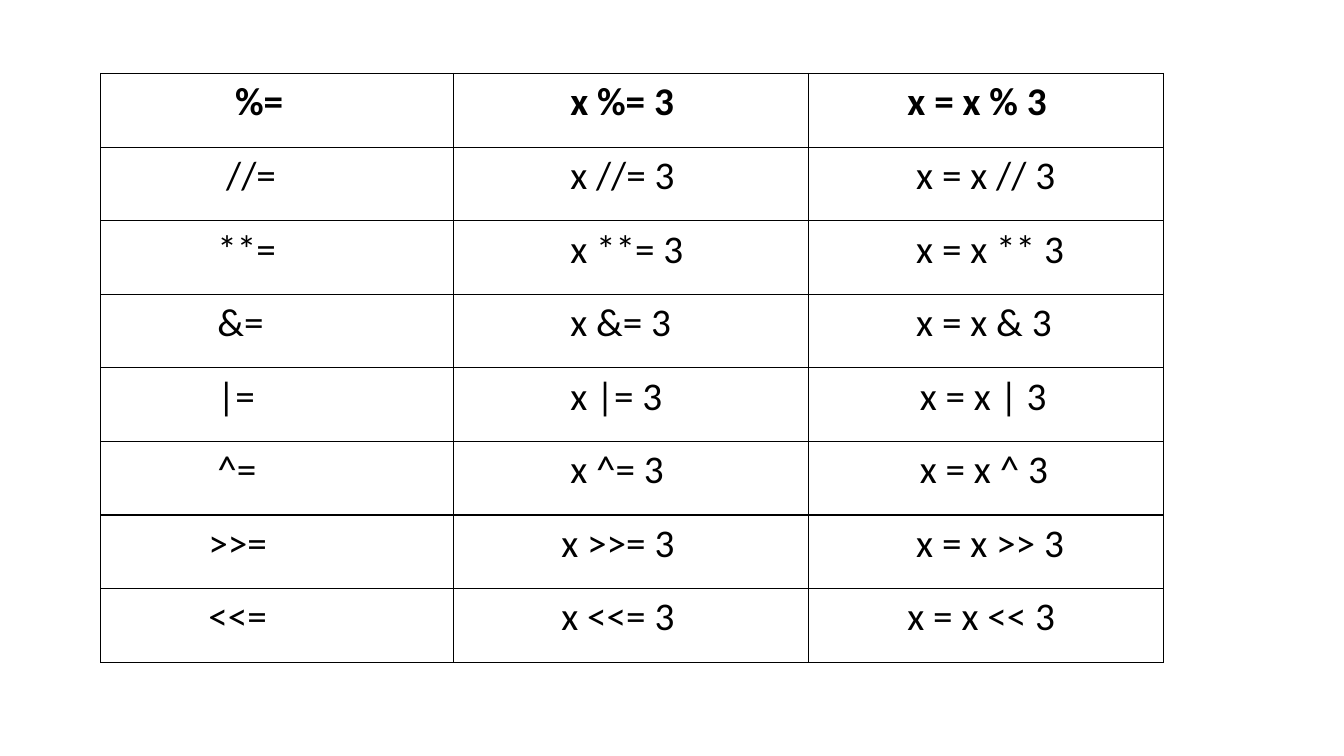
"""Build a slide with a table of Python's compound assignment operators."""
import pptx
import pptx.dml.color
import pptx.oxml
import pptx.oxml.ns
import pptx.util
from pptx.util import Inches, Pt

BLACK = pptx.dml.color.RGBColor(0, 0, 0)
WHITE = pptx.dml.color.RGBColor(255, 255, 255)

OPERATORS = [
    ("%", (14, 12, 10)),
    ("//", (13, 12, 11)),
    ("**", (12, 12, 11)),
    ("&", (12, 12, 11)),
    ("|", (12, 12, 11.4)),
    ("^", (12, 12, 11.4)),
    (">>", (11, 11, 11)),
    ("<<", (11, 11, 10)),
]
COL_WIDTHS = (3.5, 3.52, 3.52)
ROW_HEIGHT = 0.73
INDENT_STEP = 0.088
INSET = 0.1


def add_borders(cell):
    tcPr = cell._tc.get_or_add_tcPr()
    for side in "LRTB":
        tcPr.append(pptx.oxml.parse_xml(
            f'<a:ln{side} {pptx.oxml.ns.nsdecls("a")} w="{Pt(1)}"><a:solidFill>'
            f'<a:srgbClr val="{BLACK}"/></a:solidFill></a:ln{side}>'))


def fill_cell(cell, text, indent, bold):
    add_borders(cell)
    cell.fill.solid()
    cell.fill.fore_color.rgb = WHITE
    cell.margin_left = Inches(INSET + indent * INDENT_STEP)
    r = cell.text_frame.paragraphs[0].add_run()
    r.text = text
    r.font.name = "Calibri"
    r.font.size = Pt(28)
    r.font.bold = bold
    r.font.color.rgb = BLACK


prs = pptx.Presentation()
prs.slide_width, prs.slide_height = Inches(13.33), Inches(7.5)
s = prs.slides.add_slide(prs.slide_layouts[6])

table = s.shapes.add_table(
    len(OPERATORS), len(COL_WIDTHS), Inches(1), Inches(0.73),
    Inches(sum(COL_WIDTHS)), Inches(ROW_HEIGHT * len(OPERATORS))).table
table.horz_banding = False
table.first_row = False
for column, width in zip(table.columns, COL_WIDTHS):
    column.width = Inches(width)

for i, (op, indents) in enumerate(OPERATORS):
    table.rows[i].height = Inches(ROW_HEIGHT)
    texts = (f"{op}=", f"x {op}= 3", f"x = x {op} 3")
    for j, (text, indent) in enumerate(zip(texts, indents)):
        fill_cell(table.cell(i, j), text, indent, bold=i == 0)

prs.save("out.pptx")
